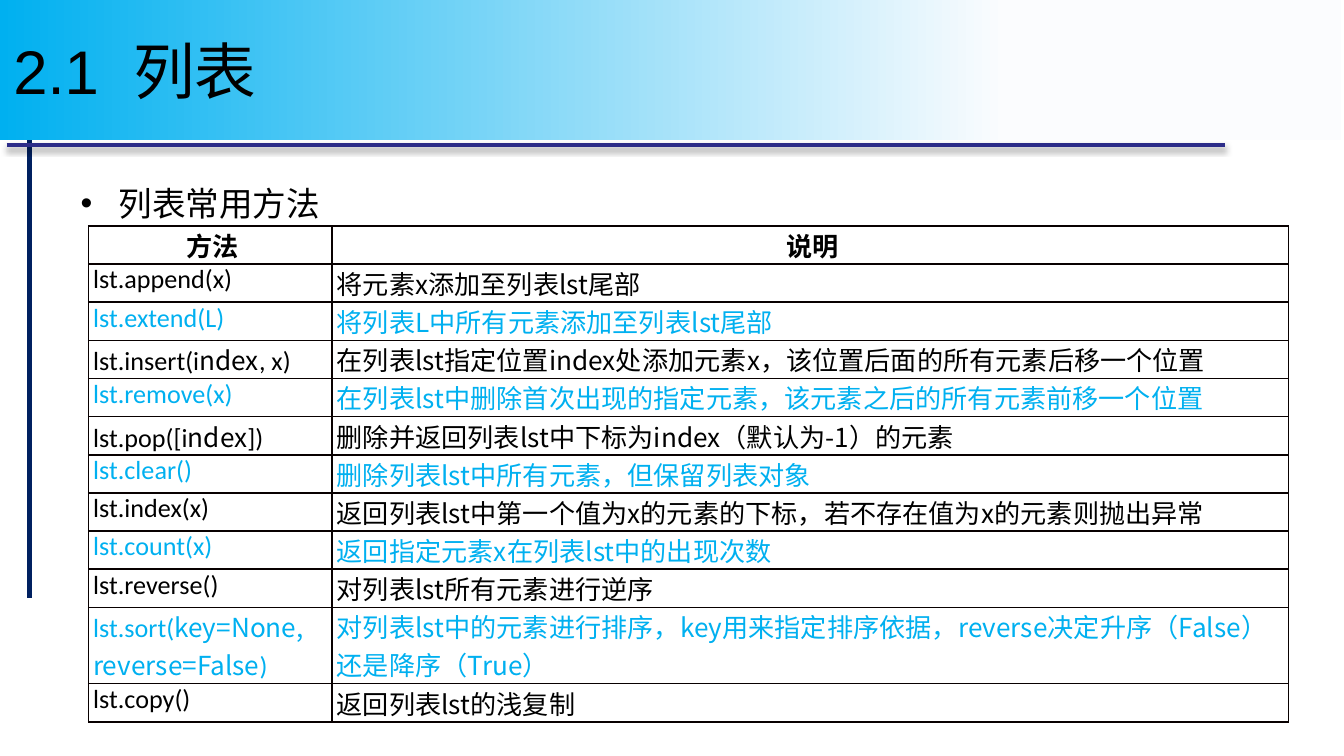
import pptx
import pptx.util
import pptx.dml.color
import pptx.enum.shapes
import pptx.enum.text
import pptx.oxml
import pptx.oxml.ns
from dataclasses import dataclass

Pt = pptx.util.Pt
Align = pptx.enum.text.PP_ALIGN
Anchor = pptx.enum.text.MSO_ANCHOR


@dataclass
class Theme:
    black: str = "000000"
    accent: str = "00B0F0"
    pale: str = "FBFCFE"
    navy: str = "002060"
    indigo: str = "2D2D89"
    border: str = "080000"
    heading: str = "Arial"
    code: str = "Calibri"
    prose: str = "Noto Sans CJK SC"
    title_size: float = 33
    bullet_size: float = 18
    table_size: float = 14


theme = Theme()
rgb = pptx.dml.color.RGBColor.from_string
NS = pptx.oxml.ns.nsdecls("a")


def set_font(font, name, size, color, bold=False):
    font.name = name
    font.size = Pt(size)
    font.color.rgb = rgb(color)
    font.bold = bold


def place(part, left, top, width, height):
    part.left, part.top = Pt(left), Pt(top)
    part.width, part.height = Pt(width), Pt(height)


deck = pptx.Presentation()
deck.slide_width, deck.slide_height = Pt(720), Pt(405)
slide = deck.slides.add_slide(deck.slide_layouts[1])
heading, topic = slide.placeholders

shadow = (
    '<a:outerShdw blurRad="39370" dist="22860" dir="5400000">'
    '<a:srgbClr val="000000"><a:alpha val="35000"/></a:srgbClr></a:outerShdw>'
)
rules = [
    (3.6, 77.8, 656, 77.8, theme.indigo, shadow),
    (15.8, 58.3, 15.8, 320.4, theme.navy, ""),
]
for x1, y1, x2, y2, color, effect in rules:
    rule = slide.shapes.add_connector(
        pptx.enum.shapes.MSO_CONNECTOR.STRAIGHT, Pt(x1), Pt(y1), Pt(x2), Pt(y2)
    )
    rule.line.color.rgb = rgb(color)
    rule.line.width = Pt(2.25)
    rule._element.spPr.append(
        pptx.oxml.parse_xml(f"<a:effectLst {NS}>{effect}</a:effectLst>")
    )
    slide.shapes._spTree.insert(2, rule._element)

place(topic, 36, 94.3, 648, 267)
topic.text_frame.text = "列表常用方法"
method_line = topic.text_frame.paragraphs[0]
method_line.space_before = Pt(2.7)
set_font(method_line.font, theme.heading, theme.bullet_size, theme.black)
indent = method_line._p.get_or_add_pPr()
indent.set("marL", str(Pt(20.25)))
indent.set("indent", str(Pt(-20.25)))
indent.append(pptx.oxml.parse_xml(f'<a:buChar {NS} char="•"/>'))
indent.append(indent.find(pptx.oxml.ns.qn("a:defRPr")))

slide.shapes._spTree.append(heading._element)
place(heading, 0, 0, 718.5, 75)
heading.fill.gradient()
heading.fill.gradient_angle = 180
for stop, position, color in zip(
    heading.fill.gradient_stops, (0.25, 1), (theme.pale, theme.accent)
):
    stop.position = position
    stop.color.rgb = rgb(color)
heading.text_frame.text = "2.1  列表"
heading.text_frame.vertical_anchor = Anchor.MIDDLE
heading_line = heading.text_frame.paragraphs[0]
heading_line.alignment = Align.LEFT
set_font(heading_line.font, theme.heading, theme.title_size, theme.black)

methods = [
    ("方法", "说明"),
    ("lst.append(x)", "将元素x添加至列表lst尾部"),
    ("lst.extend(L)", "将列表L中所有元素添加至列表lst尾部"),
    ("lst.insert(i|ndex|, x)", "在列表lst指定位置index处添加元素x，该位置后面的所有元素后移一个位置"),
    ("lst.remove(x)", "在列表lst中删除首次出现的指定元素，该元素之后的所有元素前移一个位置"),
    ("lst.pop([i|ndex|])", "删除并返回列表lst中下标为index（默认为-1）的元素"),
    ("lst.clear()", "删除列表lst中所有元素，但保留列表对象"),
    ("lst.index(x)", "返回列表lst中第一个值为x的元素的下标，若不存在值为x的元素则抛出异常"),
    ("lst.count(x)", "返回指定元素x在列表lst中的出现次数"),
    ("lst.reverse()", "对列表lst所有元素进行逆序"),
    (
        "lst.sort(|key=None, reverse=False|)",
        "对列表lst中的元素进行排序，key用来指定排序依据，reverse决定升序（False）还是降序（True）",
    ),
    ("lst.copy()", "返回列表lst的浅复制"),
]
row_height = 20.4
method_table = slide.shapes.add_table(
    len(methods), 2, Pt(47.5), Pt(121), Pt(643), Pt(row_height * 13)
).table
method_table.columns[0].width = Pt(130.5)
method_table.columns[1].width = Pt(512.5)

for row, texts in enumerate(methods):
    is_sort = texts[0].startswith("lst.sort")
    method_table.rows[row].height = Pt(row_height * (2 if is_sort else 1))
    color = theme.accent if row and row % 2 == 0 else theme.black
    for column, text in enumerate(texts):
        cell = method_table.cell(row, column)
        cell.fill.background()
        cell.margin_left = Pt(2.4)
        cell.margin_right = cell.margin_top = cell.margin_bottom = 0
        line = cell.text_frame.paragraphs[0]
        line.alignment = Align.LEFT if row else Align.CENTER
        main_font = theme.code if row and column == 0 else theme.prose
        for index, part in enumerate(text.split("|")):
            run = line.add_run()
            run.text = part
            name = theme.prose if index % 2 else main_font
            set_font(run.font, name, theme.table_size, color, row == 0)
        properties = cell._tc.get_or_add_tcPr()
        for index, side in enumerate("LRTB"):
            width = Pt(0.75 if side == "R" and column else 1)
            properties.insert(index, pptx.oxml.parse_xml(
                f'<a:ln{side} {NS} w="{width}"><a:solidFill>'
                f'<a:srgbClr val="{theme.border}"/></a:solidFill></a:ln{side}>'
            ))

deck.save("out.pptx")
